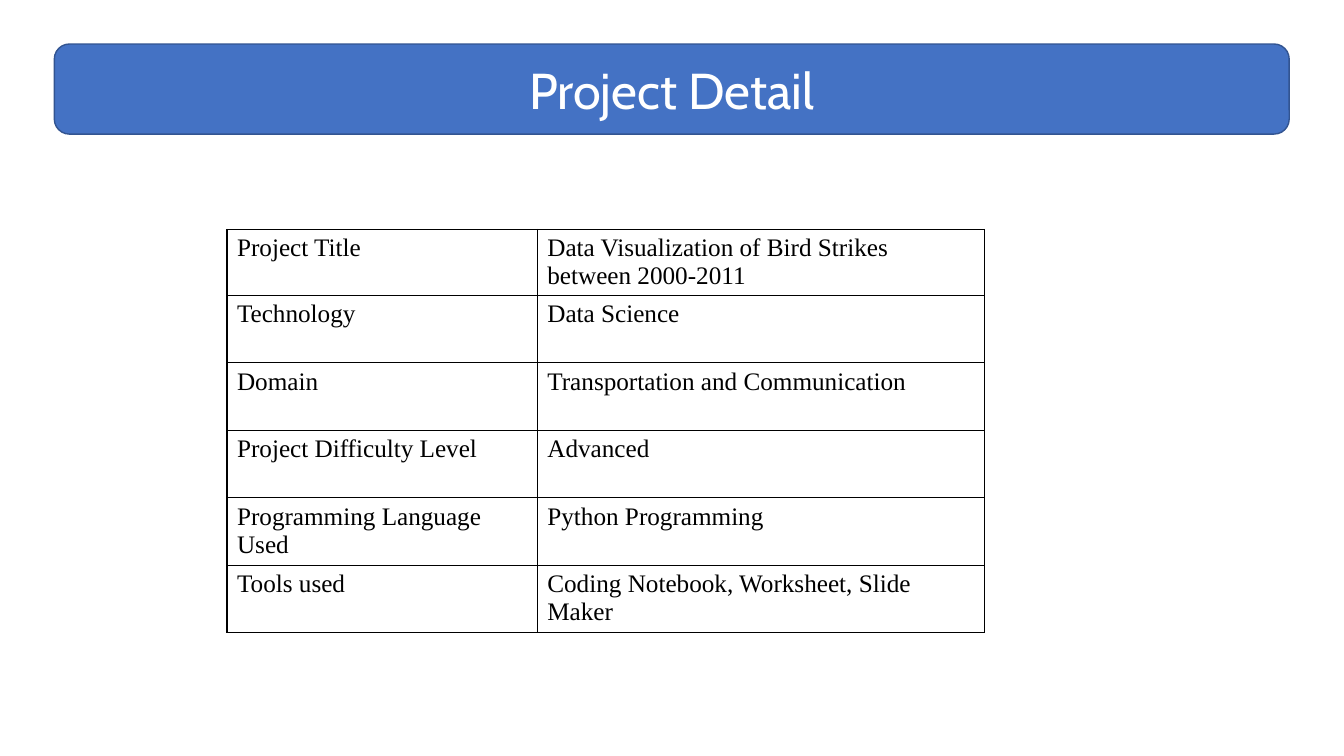
from lxml import etree
from pptx import Presentation
from pptx.dml.color import RGBColor
from pptx.enum import shapes, text
from pptx.oxml import ns
from pptx.util import Cm, Pt

BLUE = RGBColor(0x44, 0x72, 0xC4)
DARK_BLUE = RGBColor(0x32, 0x54, 0x91)
WHITE = RGBColor(0xFF, 0xFF, 0xFF)
BLACK = RGBColor(0x00, 0x00, 0x00)

PROJECT_DETAILS = [
    ("Project Title", "Data Visualization of Bird Strikes between 2000-2011"),
    ("Technology", "Data Science"),
    ("Domain", "Transportation and Communication"),
    ("Project Difficulty Level", "Advanced"),
    ("Programming Language Used", "Python Programming"),
    ("Tools used", "Coding Notebook, Worksheet, Slide Maker"),
]


def style_paragraph(paragraph, font_name, size, color):
    paragraph.font.name = font_name
    paragraph.font.size = Pt(size)
    paragraph.font.color.rgb = color


def add_title_banner(slide, left, top, width, height, title):
    banner = slide.shapes.add_shape(
        shapes.MSO_SHAPE.ROUNDED_RECTANGLE, left, top, width, height)
    banner.shadow.inherit = False
    banner.fill.solid()
    banner.fill.fore_color.rgb = BLUE
    banner.line.color.rgb = DARK_BLUE
    banner.line.width = Pt(1)
    banner.text_frame.vertical_anchor = text.MSO_ANCHOR.MIDDLE
    paragraph = banner.text_frame.paragraphs[0]
    paragraph.text = title
    paragraph.alignment = text.PP_ALIGN.CENTER
    style_paragraph(paragraph, "Cabin", 36, WHITE)


def add_cell_borders(cell):
    properties = cell._tc.get_or_add_tcPr()
    for position, side in enumerate(("lnL", "lnR", "lnT", "lnB")):
        border = etree.Element(ns.qn(f"a:{side}"), w=str(Pt(1)))
        fill = etree.SubElement(border, ns.qn("a:solidFill"))
        etree.SubElement(fill, ns.qn("a:srgbClr"), val=str(BLACK))
        properties.insert(position, border)


def add_detail_table(slide, left, top, width, height, details):
    table = slide.shapes.add_table(
        len(details), 2, left, top, width, height).table
    table.first_row = False
    table.horz_banding = False

    # The label column is narrower, the first row is lower than the rest
    label_width = Cm(7.82)
    table.columns[0].width = label_width
    table.columns[1].width = width - label_width
    row_height = Cm(1.7)
    for row in table.rows:
        row.height = row_height
    table.rows[0].height = height - row_height * (len(details) - 1)

    # Cells
    for row, values in zip(table.rows, details):
        for cell, value in zip(row.cells, values):
            cell.fill.background()
            add_cell_borders(cell)
            paragraph = cell.text_frame.paragraphs[0]
            paragraph.text = value
            style_paragraph(paragraph, "Times New Roman", 18, BLACK)


def main():
    presentation = Presentation()
    presentation.slide_width = Cm(33.87)
    presentation.slide_height = Cm(19.05)
    slide = presentation.slides.add_slide(presentation.slide_layouts[6])
    add_title_banner(slide, Cm(1.37), Cm(1.11), Cm(31.12), Cm(2.27),
                     "Project Detail")
    add_detail_table(slide, Cm(5.72), Cm(5.78), Cm(19.1), Cm(9.72),
                     PROJECT_DETAILS)
    presentation.save("out.pptx")


if __name__ == "__main__":
    main()
